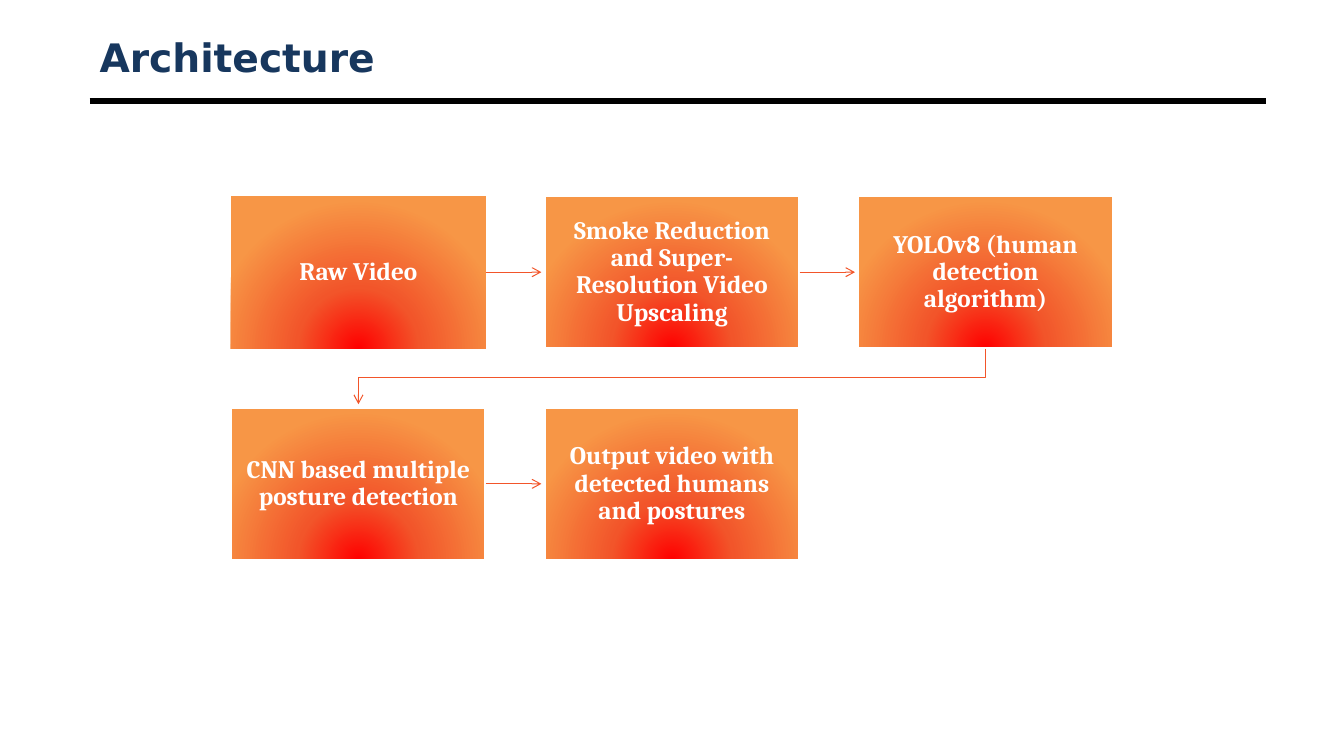
from pptx import Presentation
from pptx import util as u
from pptx.dml.color import RGBColor
from pptx.enum import shapes, text
from pptx.oxml import parse_xml
from pptx.oxml.ns import qn

GLOW = parse_xml(
    '<a:gradFill xmlns:a="http://schemas.openxmlformats.org/drawingml/2006/main" rotWithShape="1">'
    '<a:gsLst><a:gs pos="0"><a:srgbClr val="FF0000"/></a:gs>'
    '<a:gs pos="41000"><a:srgbClr val="F2552A"/></a:gs>'
    '<a:gs pos="100000"><a:srgbClr val="F79646"/></a:gs></a:gsLst>'
    '<a:path path="circle"><a:fillToRect l="50000" t="130000" r="50000" b="-30000"/></a:path>'
    '</a:gradFill>')


def write(shape, words, size, font, color, align, spacing=1.0, inset=0.1):
    frame = shape.text_frame
    frame.word_wrap = True
    frame.vertical_anchor = text.MSO_ANCHOR.MIDDLE
    frame.margin_left = frame.margin_right = u.Inches(inset)
    frame.margin_top = frame.margin_bottom = u.Inches(inset)
    paragraph = frame.paragraphs[0]
    paragraph.alignment = align
    paragraph.line_spacing = spacing
    run = paragraph.add_run()
    run.text = words
    run.font.size = u.Pt(size)
    run.font.name = font
    run.font.bold = True
    run.font.color.rgb = RGBColor.from_string(color)


def stroke(shape, color, width, arrow=False):
    shape.line.color.rgb = RGBColor.from_string(color)
    shape.line.width = u.Pt(width)
    properties = shape._element.spPr
    if properties.find(qn("a:effectLst")) is None:
        properties.append(properties.makeelement(qn("a:effectLst"), {}))
    if arrow:
        line = properties.find(qn("a:ln"))
        line.append(line.makeelement(qn("a:tailEnd"), {"type": "arrow"}))


deck = Presentation()
deck.slide_width, deck.slide_height = u.Inches(13.33), u.Inches(7.5)
slide = deck.slides.add_slide(deck.slide_layouts[6])

rule = slide.shapes.add_connector(
    shapes.MSO_CONNECTOR.STRAIGHT, u.Inches(0.89), u.Inches(1), u.Inches(12.56), u.Inches(1))
stroke(rule, "000000", 4.5)
title = slide.shapes.add_textbox(u.Inches(0.89), u.Inches(0.3), u.Inches(11.67), u.Inches(0.53))
write(title, "Architecture", 28, "DejaVu Sans", "17375E", text.PP_ALIGN.LEFT, inset=0.1)

LEFT, TOP, WIDTH, HEIGHT = 2.29, 1.94, 2.53, 1.52
COLUMN_STEP, ROW_STEP, GAP = 3.11, 2.1, 0.03
pipeline = [
    ["Raw Video",
     "Smoke Reduction and Super-Resolution Video Upscaling",
     "YOLOv8 (human detection algorithm)"],
    ["CNN based multiple posture detection",
     "Output video with detected humans and postures"],
]

for row, stages in enumerate(pipeline):
    top = TOP + row * ROW_STEP
    for column, words in enumerate(stages):
        left = LEFT + column * COLUMN_STEP
        stage = slide.shapes.add_shape(
            shapes.MSO_SHAPE.RECTANGLE,
            u.Inches(left), u.Inches(top), u.Inches(WIDTH), u.Inches(HEIGHT))
        stage.shadow.inherit = False
        stage.fill.background()
        properties = stage._element.spPr
        properties.replace(properties.find(qn("a:noFill")), parse_xml(GLOW.xml))
        if (row, column) == (0, 0):
            stage.line.fill.background()
        else:
            stroke(stage, "FFFFFF", 2)
        write(stage, words, 18, "Cambria", "FFFFFF", text.PP_ALIGN.CENTER, 0.9, 0.14)
        if column < len(stages) - 1:
            middle = u.Inches(top + HEIGHT / 2)
            step = slide.shapes.add_connector(
                shapes.MSO_CONNECTOR.STRAIGHT, u.Inches(left + WIDTH), middle,
                u.Inches(left + COLUMN_STEP - GAP), middle)
            step.begin_connect(stage, 3)
            stroke(step, "F2552A", 0.75, arrow=True)

first_center = LEFT + WIDTH / 2
last_center = first_center + 2 * COLUMN_STEP
bottom, turn, tip = TOP + HEIGHT, 3.75, TOP + ROW_STEP - GAP
route = slide.shapes.build_freeform(u.Inches(last_center), u.Inches(bottom))
route.add_line_segments(
    [(u.Inches(x), u.Inches(y))
     for x, y in [(last_center, turn), (first_center, turn), (first_center, tip)]],
    close=False)
next_row = route.convert_to_shape()
next_row.shadow.inherit = False
next_row.fill.background()
stroke(next_row, "F2552A", 0.75, arrow=True)

deck.save("out.pptx")
